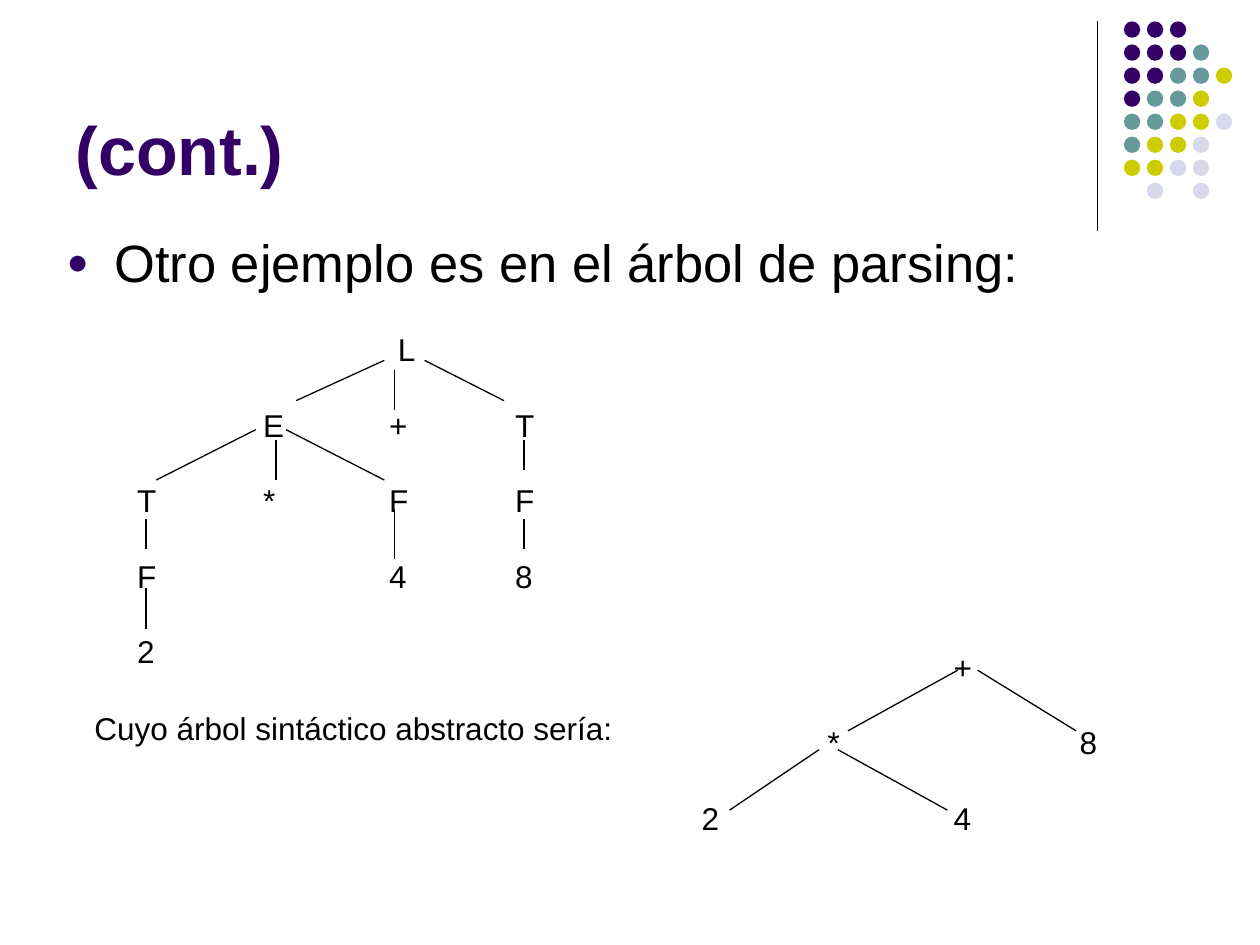
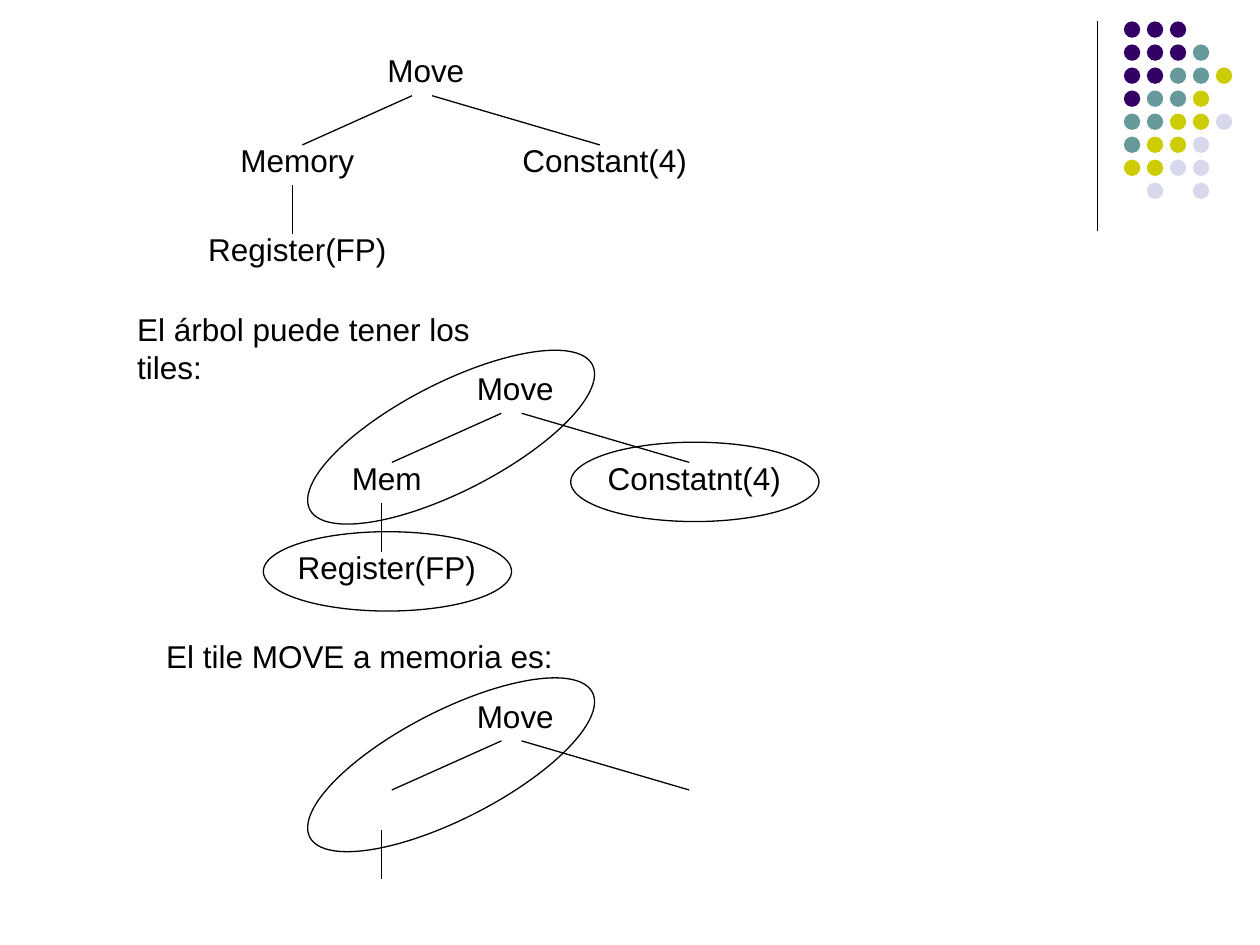
import dataclasses

import pptx
import pptx.dml.color
import pptx.enum.shapes
import pptx.enum.text
import pptx.util
from lxml import etree
from pptx.oxml.ns import qn

Inches = pptx.util.Inches
Pt = pptx.util.Pt
Align = pptx.enum.text.PP_ALIGN
Anchor = pptx.enum.text.MSO_ANCHOR


@dataclasses.dataclass(frozen=True)
class Theme:
    font: str = "Arial"
    ink: str = "000000"
    plum: str = "330066"
    teal: str = "669999"
    lime: str = "CCCC00"
    mist: str = "D8D8EC"
    title: int = 39
    body: int = 30
    text: int = 18
    line: float = 0.75
    lead: float = 1.2


DOTS = ("PPP", "PPPT", "PPTTL", "PTTL", "TTLLM", "TLLM", "LLMM", " M M")
DOT_X, DOT_Y, DOT = 8.92, 0.17, 0.13
STEP_X, STEP_Y = 0.73 / 4, 1.28 / 7

# Offsets from the top left of a move tree's root label
LABELS = ((0, 0), (-1.02, 0.71), (1.42, 0.71), (-1.02, 1.42))
EDGES = ((1.11, 0.4, 0.24, 0.79), (1.27, 0.4, 2.6, 0.79),
         (0.16, 1.11, 0.16, 1.5))

PARSE = ("\t\t L", "\tE\t+\tT", "T\t*\tF\tF", "F\t\t4\t8", "2")
PARSE_EDGES = (
    (3.05, 2.86, 2.35, 3.18), (3.13, 2.94, 3.13, 3.25),
    (3.37, 2.86, 4, 3.18), (2.03, 3.41, 1.24, 3.81),
    (2.19, 3.49, 2.19, 3.81), (2.27, 3.41, 3.05, 3.81),
    (1.16, 4.12, 1.16, 4.36), (1.16, 4.67, 1.16, 4.99),
    (3.13, 4.04, 3.13, 4.44), (4.16, 3.49, 4.16, 3.73),
    (4.16, 4.12, 4.16, 4.36),
)
SYNTAX = ("\t\t+", "\t*\t\t8", "2\t\t4")
SYNTAX_EDGES = (
    (7.6, 5.32, 6.73, 5.8), (7.76, 5.32, 8.54, 5.8),
    (6.5, 5.95, 5.79, 6.43), (6.65, 5.95, 7.52, 6.43),
)


class Deck:
    def __init__(self, theme):
        self.theme = theme
        self.prs = pptx.Presentation()
        self.prs.slide_width = Inches(10)
        self.prs.slide_height = Inches(7.5)
        self.slide = None

    def color(self, code):
        return pptx.dml.color.RGBColor.from_string(code)

    def page(self):
        """Start a slide with the corner rule and dots."""
        self.slide = self.prs.slides.add_slide(self.prs.slide_layouts[6])
        self.line(8.71, 0.17, 8.71, 1.83)
        theme = self.theme
        fills = dict(P=theme.plum, T=theme.teal, L=theme.lime, M=theme.mist)
        for row, marks in enumerate(DOTS):
            for col, mark in enumerate(marks):
                if mark in fills:
                    self.oval(DOT_X + col * STEP_X, DOT_Y + row * STEP_Y,
                              DOT, DOT, fill=fills[mark])

    def line(self, x1, y1, x2, y2):
        ends = [Inches(v) for v in (x1, y1, x2, y2)]
        kind = pptx.enum.shapes.MSO_CONNECTOR.STRAIGHT
        link = self.slide.shapes.add_connector(kind, *ends)
        link.line.color.rgb = self.color(self.theme.ink)
        link.line.width = Pt(self.theme.line)
        etree.SubElement(link._element.spPr, qn("a:effectLst"))

    def oval(self, x, y, w, h, fill=None, turn=0):
        """Draw a filled dot, or an outlined ring when there is no fill."""
        kind = pptx.enum.shapes.MSO_SHAPE.OVAL
        ring = self.slide.shapes.add_shape(
            kind, Inches(x), Inches(y), Inches(w), Inches(h))
        ring.shadow.inherit = False
        ring.rotation = turn
        if fill:
            ring.fill.solid()
            ring.fill.fore_color.rgb = self.color(fill)
            ring.line.fill.background()
        else:
            ring.fill.background()
            ring.line.color.rgb = self.color(self.theme.ink)
            ring.line.width = Pt(self.theme.line)

    def text(self, x, y, w, h, rows, size=None, color=None, bold=False,
             align=Align.LEFT, anchor=Anchor.TOP, wrap=True, gap=0):
        size = size or self.theme.text
        box = self.slide.shapes.add_textbox(
            Inches(x), Inches(y), Inches(w), Inches(h))
        frame = box.text_frame
        frame.word_wrap = wrap
        frame.vertical_anchor = anchor
        frame.text = "\n".join(rows)
        for para in frame.paragraphs:
            para.alignment = align
            para.line_spacing = Pt(size * self.theme.lead)
            para.space_after = Pt(gap)
            for run in para.runs:
                run.font.name = self.theme.font
                run.font.size = Pt(size)
                run.font.bold = bold
                run.font.color.rgb = self.color(color or self.theme.ink)
        return frame.paragraphs

    def title(self, words):
        self.text(0.5, 0.13, 8.25, 1.42, [words], self.theme.title,
                  self.theme.plum, bold=True, anchor=Anchor.BOTTOM)

    def bullet(self, words):
        para = self.text(0.43, 1.78, 9, 0.93, [words], self.theme.body)[0]
        props = para._p.get_or_add_pPr()
        props.set("marL", str(Inches(0.38)))
        props.set("indent", str(Inches(-0.38)))
        tint = etree.SubElement(props, qn("a:buClr"))
        etree.SubElement(tint, qn("a:srgbClr"), val=self.theme.plum)
        etree.SubElement(props, qn("a:buSzPct"), val="70000")
        etree.SubElement(props, qn("a:buFont"), typeface=self.theme.font)
        etree.SubElement(props, qn("a:buChar"), char="●")

    def note(self, x, y, w, words):
        self.text(x, y, w, 0.4, [words], wrap=False)

    def tree(self, x, y, w, h, rows, edges):
        """Set rows of nodes on one-inch tab stops and join them."""
        gap = self.theme.text * self.theme.lead
        for para in self.text(x, y, w, h, rows, gap=gap):
            stops = etree.SubElement(para._p.get_or_add_pPr(), qn("a:tabLst"))
            for inch in range(1, 4):
                etree.SubElement(stops, qn("a:tab"),
                                 pos=str(Inches(inch)), algn="l")
        for edge in edges:
            self.line(*edge)

    def move(self, x, y, names, tile=False):
        """Draw a move tree: root, left, right and lower labels."""
        for name, (dx, dy) in zip(names, LABELS):
            self.text(x + dx, y + dy, 2.44, 0.4, [name], align=Align.CENTER)
        for x1, y1, x2, y2 in EDGES:
            self.line(x + x1, y + y1, x + x2, y + y2)
        if tile:
            self.oval(x - 0.55, y + 0.16, 2.52, 0.86, turn=332.9)


def parsing(deck):
    deck.page()
    deck.title("(cont.)")
    deck.bullet("Otro ejemplo es en el árbol de parsing:")
    deck.tree(0.99, 2.57, 3.6, 2.8, PARSE, PARSE_EDGES)
    deck.note(0.65, 5.58, 4.31, "Cuyo árbol sintáctico abstracto sería:")
    deck.tree(5.47, 5.09, 4.2, 1.6, SYNTAX, SYNTAX_EDGES)


def tiles(deck):
    deck.page()
    deck.move(2.16, 0.36, ("Move", "Memory", "Constant(4)", "Register(FP)"))
    deck.note(0.99, 2.41, 3.42, "El árbol puede tener los tiles:")
    deck.move(2.87, 2.88, ("Move", "Mem", "Constatnt(4)", "Register(FP)"),
              tile=True)
    for x, y in ((2.09, 4.22), (4.53, 3.51)):
        deck.oval(x, y, 1.97, 0.63)
    deck.note(1.22, 5.01, 3.27, "El tile MOVE a memoria es:")
    deck.move(2.87, 5.48, ("Move",), tile=True)


def main():
    deck = Deck(Theme())
    parsing(deck)
    tiles(deck)
    deck.prs.save("out.pptx")


if __name__ == "__main__":
    main()
